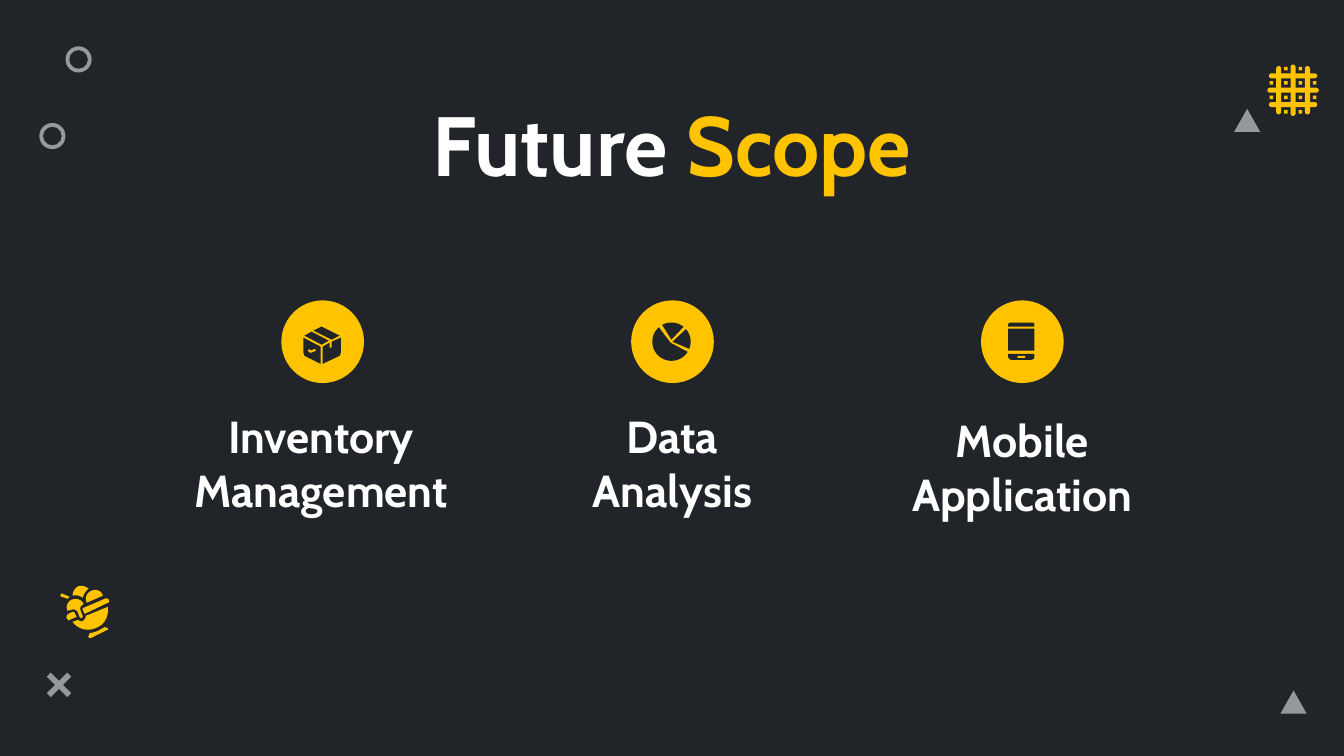
from math import cos, radians, sin

from lxml import etree
from pptx import Presentation, util as u
from pptx.dml.color import RGBColor
from pptx.enum import shapes as s, text as t
from pptx.oxml.ns import qn

DARK = RGBColor(0x21, 0x25, 0x29)
YELLOW = RGBColor(0xFF, 0xC3, 0x00)
WHITE = RGBColor(0xFF, 0xFF, 0xFF)
FONT = "Cabin"
KIND = s.MSO_SHAPE
INSET = 0.13
CIRCLE_SIZE = 0.82
COLUMN_PITCH = 3.47

BOWL_PARTS = [
    [(44, 44), (46, 45), (47, 45, 47, 45, 47, 46), (47, 47, 47, 47, 46, 47), (30, 55),
     (29, 55, 28, 55, 28, 54), (28, 54, 27, 53, 28, 53), (29, 50),
     (31, 50, 34, 49, 37, 48), (39, 47, 42, 45, 44, 44)],
    [(44, 16), (45, 15, 47, 16, 48, 17), (48, 18), (49, 19, 48, 20, 47, 20), (24, 31),
     (22, 27), (22, 26, 22, 25, 23, 25)],
    [(12, 29), (13, 29, 14, 29, 14, 30), (16, 34), (9, 37), (8, 38, 7, 37, 7, 36),
     (6, 35), (6, 34, 6, 32, 8, 31)],
    [(47, 24), (48, 33, 44, 42, 35, 45), (27, 49, 17, 46, 12, 39), (17, 37),
     (19, 38, 21, 39, 22, 38), (24, 37, 25, 35, 25, 33)],
    [(1, 11), (2, 11), (9, 14), (8, 15, 7, 16, 7, 16), (1, 14), (0, 14, 0, 13, 0, 12)],
    [(17, 4), (21, 2, 25, 4, 28, 6), (25, 8, 23, 12, 22, 15), (19, 13, 16, 12, 12, 13),
     (12, 9, 14, 6, 17, 4)],
    [(11, 17), (16, 15, 21, 17, 23, 21), (22, 22), (20, 23, 19, 25, 20, 28), (22, 33),
     (22, 34, 22, 35, 21, 35), (20, 36, 20, 35, 19, 34), (17, 29),
     (16, 27, 13, 26, 11, 27), (7, 28), (5, 24, 7, 19, 11, 17)],
    [(31, 8), (35, 6, 41, 8, 42, 13), (26, 20), (24, 15, 26, 10, 31, 8)],
]
PARCEL_PARTS = [
    [(30, 31), (23, 35), (40, 44), (47, 40)],
    [(40, 26), (32, 30), (50, 39), (58, 35)],
    [(59, 37), (50, 41), (50, 47), (48, 47), (48, 42), (41, 46), (41, 63), (58, 55), (59, 52)],
    [(22, 37), (22, 52), (23, 55), (39, 63), (39, 46)],
]
PARCEL_TICK = [(27, 49), (29, 51), (34, 49)]


def add_preset(slide, kind, box, color, adjustments=(), alpha=None):
    """Add a filled preset shape without outline."""
    shape = slide.shapes.add_shape(kind, *(u.Inches(value) for value in box))
    shape.shadow.inherit = False
    shape.fill.solid()
    shape.fill.fore_color.rgb = color
    shape.line.fill.background()
    for index, value in enumerate(adjustments):
        shape.adjustments[index] = value
    if alpha is not None:
        color_element = shape.fill._xPr.find(qn("a:solidFill"))[0]
        etree.SubElement(color_element, qn("a:alpha")).set("val", str(alpha * 1000))
    return shape


def flatten(segments, steps=8):
    """Turn points and cubic curve segments into a list of points."""
    points = []
    for segment in segments:
        if len(segment) == 2:
            points.append(segment)
            continue
        x0, y0 = points[-1]
        x1, y1, x2, y2, x3, y3 = segment
        for step in range(1, steps + 1):
            b = step / steps
            a = 1 - b
            points.append(tuple(
                a**3 * p + 3 * a * a * b * q + 3 * a * b * b * r + b**3 * end
                for p, q, r, end in ((x0, x1, x2, x3), (y0, y1, y2, y3))))
    return points


def add_outline(slide, left, top, segments, color, closed=True):
    """Add an outline given in hundredths of an inch from left and top."""
    points = [(x * 100, y * 100) for x, y in flatten(segments)]
    builder = slide.shapes.build_freeform(*points[0], scale=u.Inches(1) / 10000)
    builder.add_line_segments(points[1:], close=closed)
    shape = builder.convert_to_shape(u.Inches(left), u.Inches(top))
    shape.shadow.inherit = False
    if closed:
        shape.fill.solid()
        shape.fill.fore_color.rgb = color
        shape.line.fill.background()
    else:
        shape.fill.background()
        shape.line.color.rgb = color
        shape.line.width = u.Pt(1.5)


def write_text(shape, runs, size, anchor):
    """Write one centred bold paragraph from pairs of text and colour."""
    frame = shape.text_frame
    frame.word_wrap = True
    frame.auto_size = t.MSO_AUTO_SIZE.NONE
    frame.vertical_anchor = anchor
    frame.margin_left = frame.margin_right = u.Inches(INSET)
    frame.margin_top = frame.margin_bottom = u.Inches(INSET)
    paragraph = frame.paragraphs[0]
    paragraph.alignment = t.PP_ALIGN.CENTER
    paragraph.line_spacing = 1.0
    paragraph.space_before = u.Pt(0)
    for content, color in runs:
        run = paragraph.add_run()
        run.text = content
        run.font.name = FONT
        run.font.size = u.Pt(size)
        run.font.bold = True
        run.font.color.rgb = color


def add_title(slide, left, top, width, height):
    """Place the two-coloured title."""
    title = slide.shapes.title
    title.left, title.top = u.Inches(left), u.Inches(top)
    title.width, title.height = u.Inches(width), u.Inches(height)
    write_text(title, [("Future ", WHITE), ("Scope", YELLOW)], 60, t.MSO_ANCHOR.TOP)


def add_decorations(slide):
    """Scatter the translucent rings, triangles and cross."""
    for left, top in ((12.24, 1.08), (12.7, 6.85)):
        add_preset(slide, KIND.ISOSCELES_TRIANGLE, (left, top, 0.26, 0.23), WHITE, alpha=53)
    for left, top in ((0.39, 1.22), (0.65, 0.46)):
        add_preset(slide, KIND.DONUT, (left, top, 0.26, 0.26), WHITE, [0.142], 53)
    add_preset(slide, KIND.MATH_MULTIPLY, (0.39, 6.6, 0.39, 0.39), WHITE, [0.143], 53)


def add_bowl(slide, left, top):
    """Draw the bowl ornament."""
    for part in BOWL_PARTS:
        add_outline(slide, left, top, part, YELLOW)


def add_lattice(slide, left, top, size=0.51, pitch=0.143, bar=0.05, cell=0.035):
    """Draw the woven lattice of bars and small cells."""
    for index in range(3):
        length = size if index == 1 else size - 0.03
        along = (size - length) / 2
        across = size / 2 + (index - 1) * pitch - bar / 2
        add_preset(slide, KIND.ROUNDED_RECTANGLE,
                   (left + along, top + across, length, bar), YELLOW, [0.5])
        add_preset(slide, KIND.ROUNDED_RECTANGLE,
                   (left + across, top + along, bar, length), YELLOW, [0.5])
    first = size / 2 - 1.5 * pitch - cell / 2
    for row in range(4):
        for column in range(4):
            if row in (1, 2) or column in (1, 2):
                box = (left + first + column * pitch, top + first + row * pitch, cell, cell)
                add_preset(slide, KIND.RECTANGLE, box, YELLOW)


def add_parcel(slide, left, top):
    """Draw the parcel icon inside its circle."""
    for part in PARCEL_PARTS:
        add_outline(slide, left, top, part, DARK)
    add_outline(slide, left, top, PARCEL_TICK, YELLOW, closed=False)


def add_pie(slide, left, top):
    """Draw the three pie sectors inside their circle."""
    sectors = (((39, 42), 32, 229), ((40, 39), 241, 309), ((41, 41), 319, 382))
    for apex, start, end in sectors:
        angles = [radians(start + (end - start) * step / 24) for step in range(25)]
        rim = [(40 + 19 * cos(angle), 41 + 19 * sin(angle)) for angle in angles]
        add_outline(slide, left, top, [apex] + rim, DARK)


def add_phone(slide, left, top):
    """Draw the phone icon inside its circle."""
    x = left + 0.27
    rounded = KIND.ROUND_2_SAME_RECTANGLE
    add_preset(slide, rounded, (x, top + 0.22, 0.26, 0.04), DARK, [0.5, 0])
    add_preset(slide, KIND.RECTANGLE, (x, top + 0.28, 0.26, 0.22), DARK)
    add_preset(slide, rounded, (x, top + 0.53, 0.26, 0.06), DARK, [0, 0.5])
    add_preset(slide, KIND.ROUNDED_RECTANGLE, (x + 0.09, top + 0.55, 0.08, 0.02), YELLOW, [0.5])


def add_topic(slide, left, top, label, label_box, draw_icon):
    """Place a circled icon with its label below."""
    add_preset(slide, KIND.OVAL, (left, top, CIRCLE_SIZE, CIRCLE_SIZE), YELLOW)
    draw_icon(slide, left, top)
    shape = slide.shapes.add_textbox(*(u.Inches(value) for value in label_box))
    write_text(shape, [(label, WHITE)], 32, t.MSO_ANCHOR.BOTTOM)


def main():
    """Build the slide and save it."""
    presentation = Presentation()
    presentation.slide_width, presentation.slide_height = u.Inches(13.33), u.Inches(7.5)
    slide = presentation.slides.add_slide(presentation.slide_layouts[5])
    slide.background.fill.solid()
    slide.background.fill.fore_color.rgb = DARK
    add_decorations(slide)
    add_bowl(slide, 0.6, 5.78)
    add_lattice(slide, 12.57, 0.64)
    add_title(slide, 1.05, 0.79, 11.23, 0.7)
    topics = (("Inventory Management", (1.72, 4.13, 2.93, 1.12), add_parcel),
              ("Data Analysis", (5.27, 4.13, 2.8, 1.12), add_pie),
              ("Mobile Application", (8.74, 4.05, 2.8, 1.24), add_phone))
    for index, topic in enumerate(topics):
        add_topic(slide, 2.79 + index * COLUMN_PITCH, 2.98, *topic)
    presentation.save("out.pptx")


if __name__ == "__main__":
    main()
